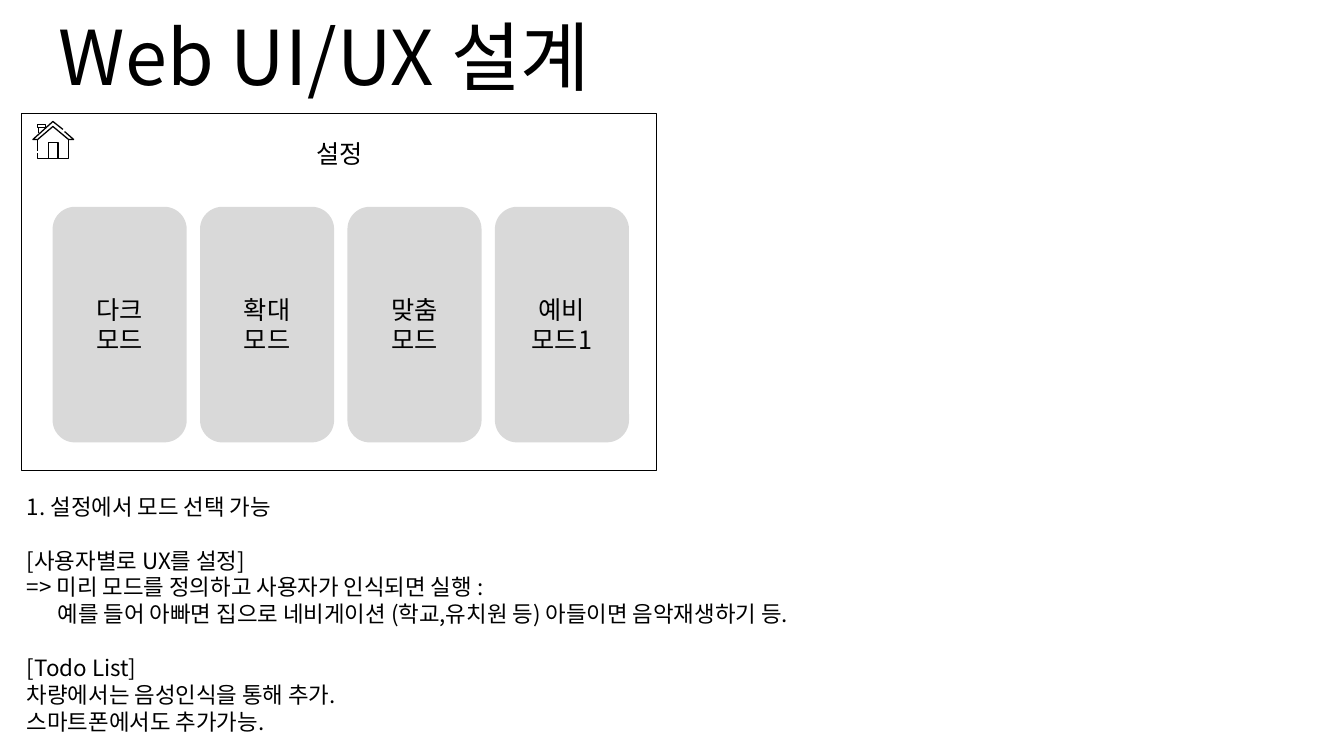
import dataclasses

import lxml.etree
import pptx
import pptx.dml.color
import pptx.enum.shapes
import pptx.enum.text
import pptx.oxml.ns
import pptx.util

Pt = pptx.util.Pt
Color = pptx.dml.color.RGBColor
Kind = pptx.enum.shapes.MSO_SHAPE
Align = pptx.enum.text.PP_ALIGN
Anchor = pptx.enum.text.MSO_ANCHOR

BLACK = Color(0x00, 0x00, 0x00)
WHITE = Color(0xFF, 0xFF, 0xFF)
GRAY = Color(0xD9, 0xD9, 0xD9)
FONT = "Noto Sans CJK KR"


@dataclasses.dataclass
class Box:
    """A place on the slide, in points."""
    left: float
    top: float
    width: float
    height: float

    def args(self) -> list:
        """Give the four lengths for an add call."""
        return [Pt(n) for n in (self.left, self.top, self.width, self.height)]


@dataclasses.dataclass
class Note:
    """A line of the notes, with its gap above and indent in points."""
    text: str
    gap: float = 0
    indent: float = 0


FRAME = Box(15.5, 81.2, 453.6, 255)
CARD = Box(37.6, 147.7, 95.8, 168.3)
STEP = 105.3
MODES = ["다크\n모드", "확대\n모드", "맞춤\n모드", "예비\n모드1"]
GAP = 19.3

NOTES = [
    Note("1. 설정에서 모드 선택 가능"),
    Note("[사용자별로 UX를 설정]", gap=GAP),
    Note("=> 미리 모드를 정의하고 사용자가 인식되면 실행 :"),
    Note("예를 들어 아빠면 집으로 네비게이션 (학교,유치원 등) 아들이면 음악재생하기 등.",
         indent=22),
    Note("[Todo List]", gap=GAP),
    Note("차량에서는 음성인식을 통해 추가."),
    Note("스마트폰에서도 추가가능."),
]

HOUSE = [
    # roof
    [(46.1, 94), (52.6, 99.7), (49, 99.7), (37.8, 90.4), (26.9, 99.7),
     (23.5, 99.7), (37.8, 86.8), (45, 92.5)],
    # chimney
    [(27.4, 95.4), (27.4, 91.2), (27, 91.2), (27, 88.9), (32.6, 88.9),
     (32.6, 91.2), (27.4, 91.2)],
    # walls
    [(27, 99.7), (27, 107.6)],
    [(27, 109.4), (27, 113.4), (49, 113.4), (49, 99.7)],
    # door
    [(34.9, 113.4), (34.9, 101.9), (41.4, 101.9), (41.4, 113.4)],
]


def style(frame, size: float, align) -> None:
    """Set font, size, colour and alignment of all text in a frame."""
    frame.word_wrap = True
    for para in frame.paragraphs:
        para.alignment = align
        for run in para.runs:
            run.font.name = FONT
            run.font.size = Pt(size)
            run.font.color.rgb = BLACK
            east = lxml.etree.Element(pptx.oxml.ns.qn("a:ea"), typeface=FONT)
            run.font._element.find(pptx.oxml.ns.qn("a:latin")).addnext(east)


def add_title(slide, text: str) -> None:
    """Place and format the slide title."""
    title = slide.shapes.title
    title.left, title.top, title.width, title.height = Box(
        -182.2, -28, 828, 104.4).args()
    frame = title.text_frame
    frame.text = text
    frame.auto_size = pptx.enum.text.MSO_AUTO_SIZE.NONE
    frame.vertical_anchor = Anchor.BOTTOM
    frame.paragraphs[0].line_spacing = 0.9
    style(frame, 54, Align.CENTER)


def add_panel(slide, kind, box: Box, fill):
    """Draw a flat filled shape with no outline."""
    shape = slide.shapes.add_shape(kind, *box.args())
    shape.shadow.inherit = False
    shape.fill.solid()
    shape.fill.fore_color.rgb = fill
    shape.line.fill.background()
    return shape


def add_card(slide, box: Box, text: str) -> None:
    """Draw a mode card with its label."""
    frame = add_panel(slide, Kind.ROUNDED_RECTANGLE, box, GRAY).text_frame
    frame.text = text
    frame.vertical_anchor = Anchor.MIDDLE
    style(frame, 18, Align.CENTER)


def add_house(slide) -> None:
    """Draw the home icon as one line drawing."""
    build = None
    for stroke in HOUSE:
        start, *rest = [(Pt(x), Pt(y)) for x, y in stroke]
        if build is None:
            build = slide.shapes.build_freeform(*start)
        else:
            build.move_to(*start)
        build.add_line_segments(rest, close=False)
    house = build.convert_to_shape()
    house.shadow.inherit = False
    house.fill.background()
    house.line.color.rgb = BLACK
    house.line.width = Pt(0.9)


def add_text(slide, box: Box, text: str, size: float, align):
    """Add a text box and give back its frame."""
    frame = slide.shapes.add_textbox(*box.args()).text_frame
    frame.text = text
    style(frame, size, align)
    return frame


def add_notes(slide) -> None:
    """Write the notes below the frame."""
    text = "\n".join(note.text for note in NOTES)
    frame = add_text(slide, Box(12.2, 348.5, 628, 184), text, 16, Align.LEFT)
    for para, note in zip(frame.paragraphs, NOTES):
        para.space_before = Pt(note.gap)
        if note.indent:
            para._p.get_or_add_pPr().set("marL", str(Pt(note.indent)))


def main() -> None:
    """Build the slide and save it."""
    deck = pptx.Presentation()
    deck.slide_width, deck.slide_height = Pt(960), Pt(540)
    slide = deck.slides.add_slide(deck.slide_layouts.get_by_name("Title Only"))
    add_title(slide, "Web UI/UX 설계")
    frame = add_panel(slide, Kind.RECTANGLE, FRAME, WHITE)
    frame.line.color.rgb = BLACK
    frame.line.width = Pt(1)
    add_text(slide, Box(216.7, 95, 51.1, 29), "설정", 18, Align.CENTER)
    add_house(slide)
    for i, mode in enumerate(MODES):
        box = dataclasses.replace(CARD, left=CARD.left + i * STEP)
        add_card(slide, box, mode)
    add_notes(slide)
    deck.save("out.pptx")


main()
